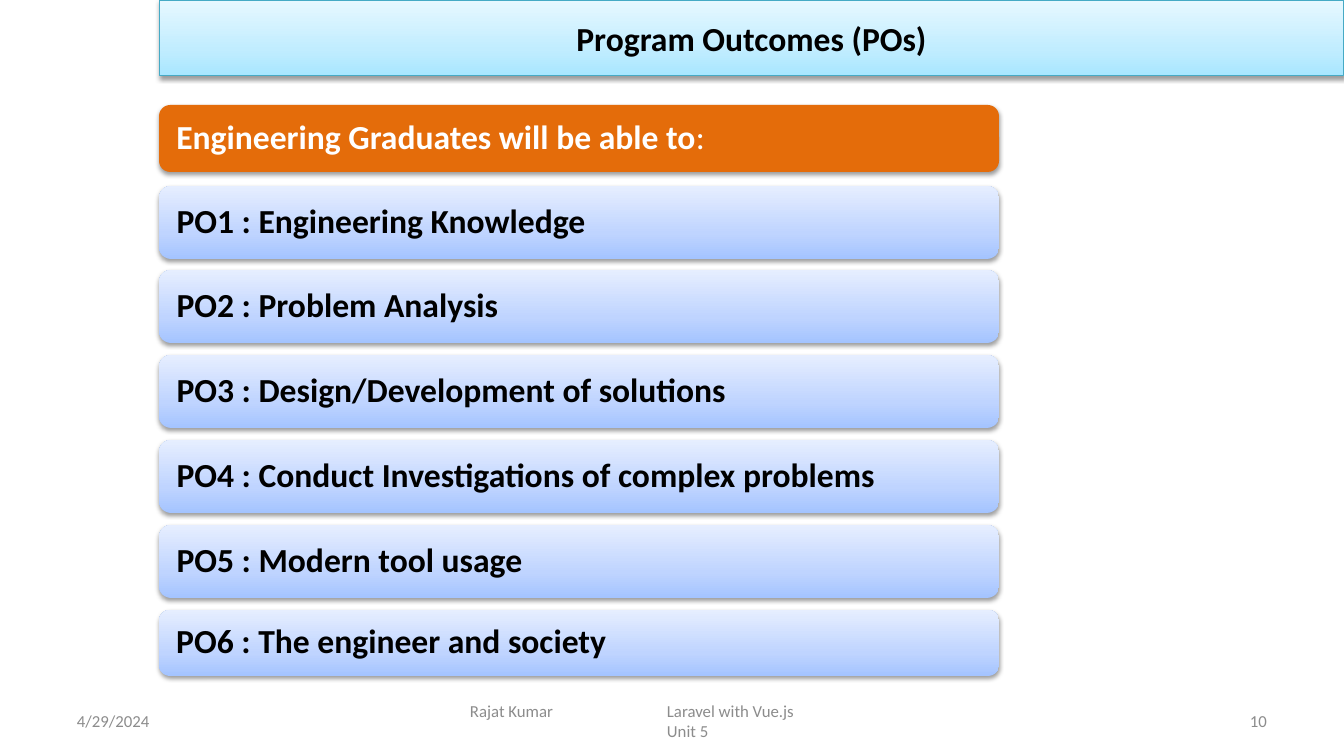
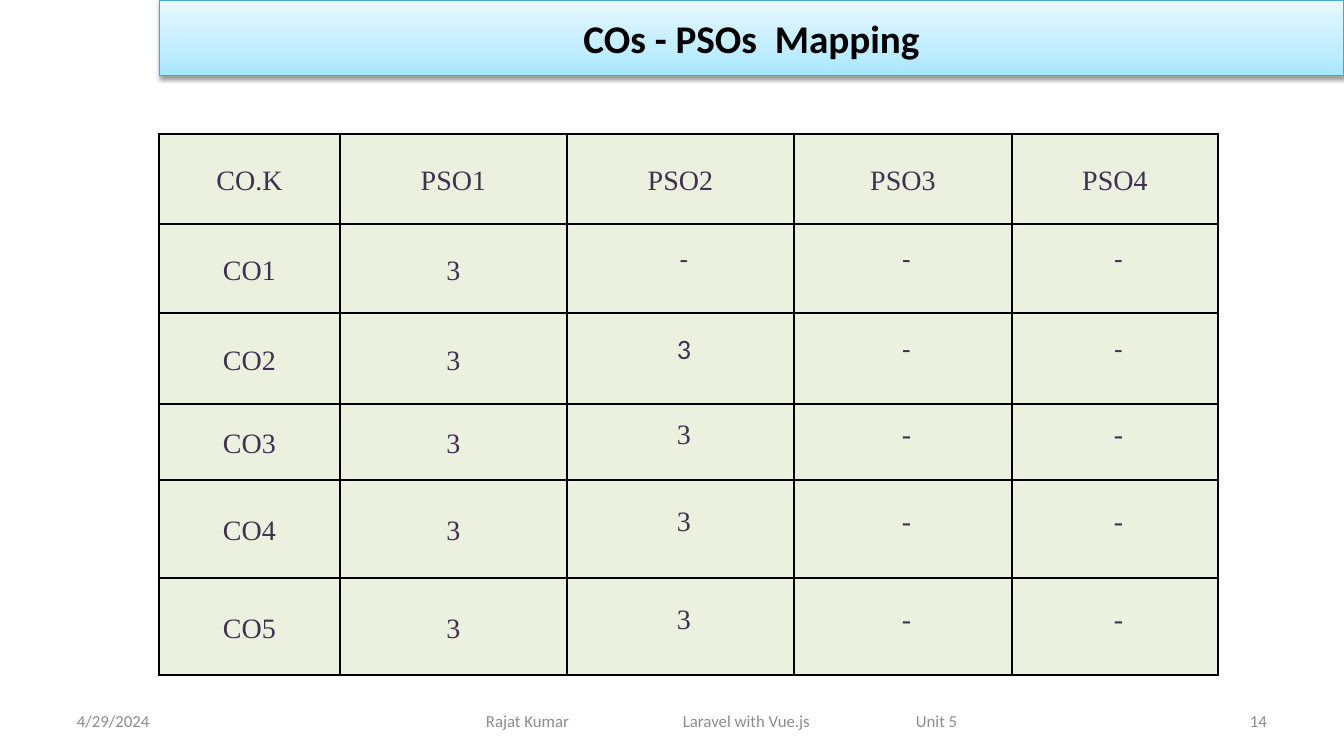
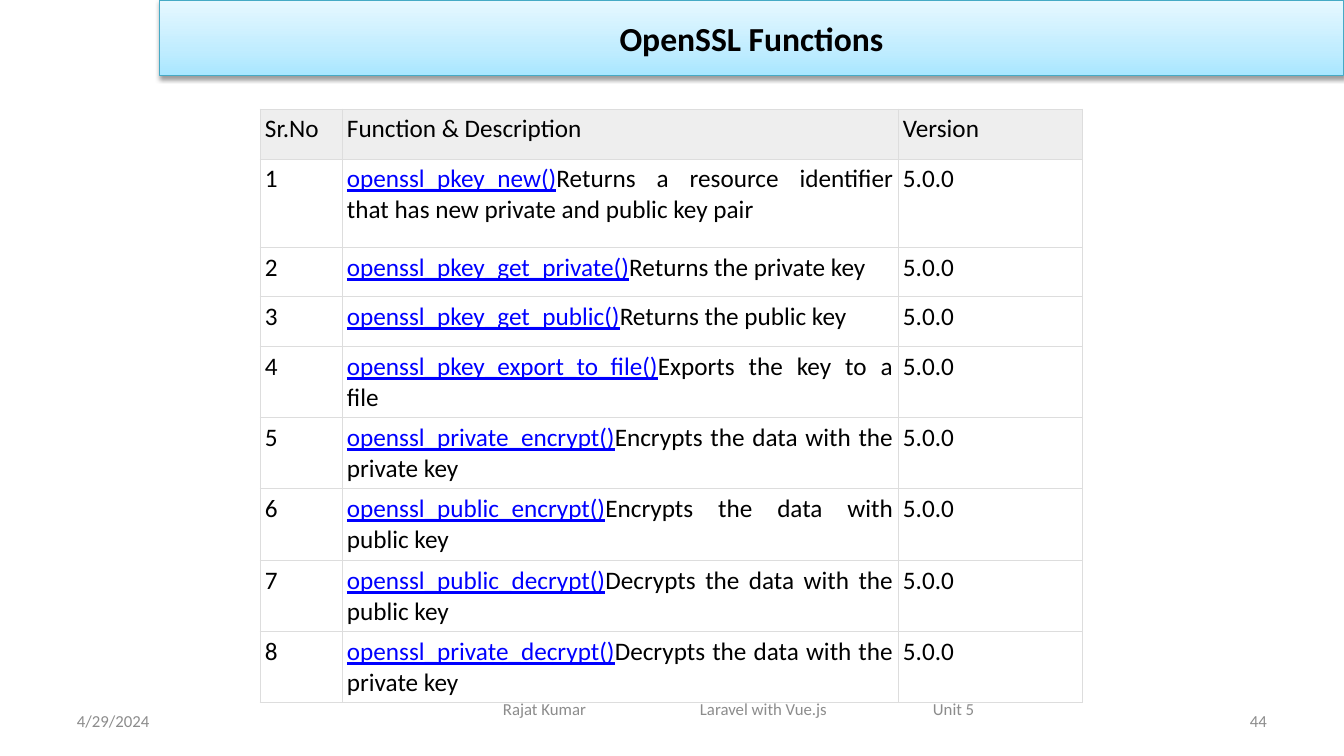
from lxml import etree
from pptx import Presentation
from pptx import util as u
from pptx.dml import color
from pptx.enum import shapes, text
from pptx.oxml import ns

EMU_PER_PX = 914400 / 100.8
BLACK, WHITE, GRAY = "000000", "FFFFFF", "8C8C8C"
ORANGE, CYAN, PLUM, LINK = "E46C0A", "46AAC5", "403152", "0000FF"
CYAN_FADE = ((0, "A7E6FF"), (35, "C1EDFF"), (100, "E7F8FF"))
BLUE_FADE = ((0, "A4C4FF"), (35, "BFD4FF"), (100, "E6EEFF"))
SERIF = "Times New Roman"
LEFT, CENTER, RIGHT, JUSTIFY = (text.PP_ALIGN.LEFT, text.PP_ALIGN.CENTER,
                                text.PP_ALIGN.RIGHT, text.PP_ALIGN.JUSTIFY)
MIDDLE, TOP = text.MSO_ANCHOR.MIDDLE, text.MSO_ANCHOR.TOP
BAND_LEFT = 159


def px(length):
    return u.Emu(round(length * EMU_PER_PX))


def paint(hex_value):
    return color.RGBColor.from_string(hex_value)


def add(parent, tag, **attributes):
    return etree.SubElement(parent, ns.qn(tag),
                            {name: str(value) for name, value in attributes.items()})


# Text
def write(para, words, size=24, ink=BLACK, font="Calibri", bold=False,
          underline=False, align=LEFT, spacing=None):
    para.alignment = align
    if spacing:
        para.line_spacing = spacing
    span = para.add_run()
    span.text = words
    span.font.name, span.font.size = font, u.Pt(size)
    span.font.bold, span.font.underline = bold, underline
    span.font.color.rgb = paint(ink)


def set_frame(box, anchor, left=10, top=5, right=10, bottom=5):
    box.margin_left, box.margin_top = px(left), px(top)
    box.margin_right, box.margin_bottom = px(right), px(bottom)
    box.vertical_anchor = anchor


# Fills and shadows
def fade(shape, stops):
    shape.fill.gradient()
    shape.fill.gradient_angle = 90
    stop_list = shape._element.spPr.find(ns.qn("a:gradFill")).find(ns.qn("a:gsLst"))
    for stop in list(stop_list):
        stop_list.remove(stop)
    for place, hex_value in stops:
        add(add(stop_list, "a:gs", pos=place * 1000), "a:srgbClr", val=hex_value)


def drop_shadow(shape):
    shape.shadow.inherit = False
    effects = shape._element.spPr.find(ns.qn("a:effectLst"))
    shadow = add(effects, "a:outerShdw", blurRad=40000, dist=20000,
                 dir=5400000, rotWithShape=0)
    add(add(shadow, "a:srgbClr", val=BLACK), "a:alpha", val=38000)


# Parts shared by every page
def add_title(page, words, size):
    band = page.shapes.title
    band.left, band.top, band.width, band.height = px(BAND_LEFT), 0, px(1185), px(76)
    fade(band, CYAN_FADE)
    band.line.color.rgb, band.line.width = paint(CYAN), u.Pt(0.75)
    drop_shadow(band)
    frame = band.text_frame
    frame.auto_size = text.MSO_AUTO_SIZE.NONE
    set_frame(frame, MIDDLE)
    write(frame.paragraphs[0], words, size, bold=True, align=CENTER)


def add_footer(page, left, top, width, lines, align=LEFT, inset=10, tabs=()):
    frame = page.shapes.add_textbox(px(left), px(top), px(width), px(40)).text_frame
    frame.word_wrap = True
    set_frame(frame, MIDDLE, left=inset)
    for index, line in enumerate(lines):
        para = frame.add_paragraph() if index else frame.paragraphs[0]
        if tabs:
            tab_list = add(para._p.get_or_add_pPr(), "a:tabLst")
            for stop in tabs:
                add(tab_list, "a:tab", pos=px(stop), algn="l")
        write(para, line, 12, GRAY, align=align)


def add_page(deck, title, size, number, course_lines, left, width, inset, top=701):
    page = deck.slides.add_slide(deck.slide_layouts[5])
    add_title(page, title, size)
    add_footer(page, 67, 701, 314, ["4/29/2024"])
    add_footer(page, left, top, width, course_lines, inset=inset, tabs=(197, 430))
    add_footer(page, 963, 701, 314, [number], align=RIGHT)
    return page


# Bars
def add_bar(page, top, height, ink=BLACK):
    bar = page.shapes.add_shape(shapes.MSO_SHAPE.ROUNDED_RECTANGLE,
                                px(BAND_LEFT), px(top), px(840), px(height))
    bar.line.fill.background()
    drop_shadow(bar)
    set_frame(bar.text_frame, MIDDLE, left=14)
    return bar, bar.text_frame.paragraphs[0]


# Tables
def add_grid(page, left, top, columns, rows):
    table = page.shapes.add_table(len(rows), len(columns), px(left), px(top),
                                  px(sum(columns)), px(sum(rows))).table
    table.first_row = table.horz_banding = False
    for column, width in zip(table.columns, columns):
        column.width = px(width)
    for row, height in zip(table.rows, rows):
        row.height = px(height)
    return table


def style_cell(cell, edge, weight, fill):
    for side in ("a:lnL", "a:lnR", "a:lnT", "a:lnB"):
        line = add(cell._tc.get_or_add_tcPr(), side, w=u.Pt(weight))
        add(add(line, "a:solidFill"), "a:srgbClr", val=edge)
    if fill:
        cell.fill.solid()
        cell.fill.fore_color.rgb = paint(fill)
    else:
        cell.fill.background()


# Pages
def build_outcomes(deck):
    page = add_page(deck, "Program Outcomes (POs)", 24, "10",
                    ["Rajat Kumar\tLaravel with Vue.js", "\tUnit 5"], 460, 425, 10)
    bar, para = add_bar(page, 105, 67)
    bar.fill.solid()
    bar.fill.fore_color.rgb = paint(ORANGE)
    write(para, "Engineering Graduates will be able to", ink=WHITE, bold=True, spacing=0.9)
    write(para, ":", ink=WHITE, spacing=0.9)

    outcomes = ("Engineering Knowledge", "Problem Analysis",
                "Design/Development of solutions",
                "Conduct Investigations of complex problems",
                "Modern tool usage", "The engineer and society")
    for index, outcome in enumerate(outcomes):
        height = 66 if index == len(outcomes) - 1 else 73
        bar, para = add_bar(page, 186 + index * 424 // 5, height)
        fade(bar, BLUE_FADE)
        write(para, f"PO{index + 1} : {outcome}", bold=True, spacing=0.9)


def build_mapping(deck):
    page = add_page(deck, "COs - PSOs  Mapping", 28, "14",
                    ["Rajat Kumar\tLaravel with Vue.js\tUnit 5"], 446, 554, 40)
    records = [["CO.K", "PSO1", "PSO2", "PSO3", "PSO4"],
               ["CO1", "3", "-", "-", "-"]]
    records += [[f"CO{number}", "3", "3", "-", "-"] for number in range(2, 6)]
    table = add_grid(page, BAND_LEFT, 134, (181, 227, 227, 218, 206),
                     (90, 89, 91, 76, 98, 97))
    for r, record in enumerate(records):
        for c, value in enumerate(record):
            cell = table.cell(r, c)
            style_cell(cell, BLACK, 1, "EBF1DE")
            set_frame(cell, MIDDLE, 7, 0, 7, 0)
            para = cell.text_frame.paragraphs[0]
            tight = r > 0 and c > 1
            if tight:
                para._p.get_or_add_pPr().set("marL", str(px(7)))
            write(para, value, 20, PLUM, align=CENTER,
                  font="Calibri" if tight and r < 3 else SERIF,
                  spacing=u.Pt(12.3) if tight else 1.15)


def build_functions(deck):
    page = add_page(deck, "OpenSSL Functions", 24, "44",
                    ["Rajat Kumar\tLaravel with Vue.js\tUnit 5"], 479, 521, 24, top=689)
    functions = (
        ("openssl_pkey_new()",
         "Returns a resource identifier that has new private and public key pair"),
        ("openssl_pkey_get_private()", "Returns the private key"),
        ("openssl_pkey_get_public()", "Returns the public key"),
        ("openssl_pkey_export_to_file()", "Exports the key to a file"),
        ("openssl_private_encrypt()", "Encrypts the data with the private key"),
        ("openssl_public_encrypt()", "Encrypts the data with public key"),
        ("openssl_public_decrypt()", "Decrypts the data with the public key"),
        ("openssl_private_decrypt()", "Decrypts the data with the private key"),
    )
    records = [("Sr.No", "Function & Description", "Version")]
    records += [(str(number), entry, "5.0.0") for number, entry in enumerate(functions, 1)]
    table = add_grid(page, 260, 109, (82, 556, 185),
                     (50, 89, 49, 50, 71, 71, 72, 71, 71))
    for r, record in enumerate(records):
        for c, value in enumerate(record):
            cell = table.cell(r, c)
            style_cell(cell, "DDDDDD", 0.75, None if r else "EEEEEE")
            set_frame(cell, TOP, 5, 5, 5, 5)
            para = cell.text_frame.paragraphs[0]
            if isinstance(value, tuple):
                name, description = value
                write(para, name, 18, LINK, underline=True, align=JUSTIFY)
                write(para, description, 18, align=JUSTIFY)
            else:
                write(para, value, 18)


def main():
    deck = Presentation()
    deck.slide_width, deck.slide_height = px(1344), px(756)
    build_outcomes(deck)
    build_mapping(deck)
    build_functions(deck)
    deck.save("out.pptx")


if __name__ == "__main__":
    main()
